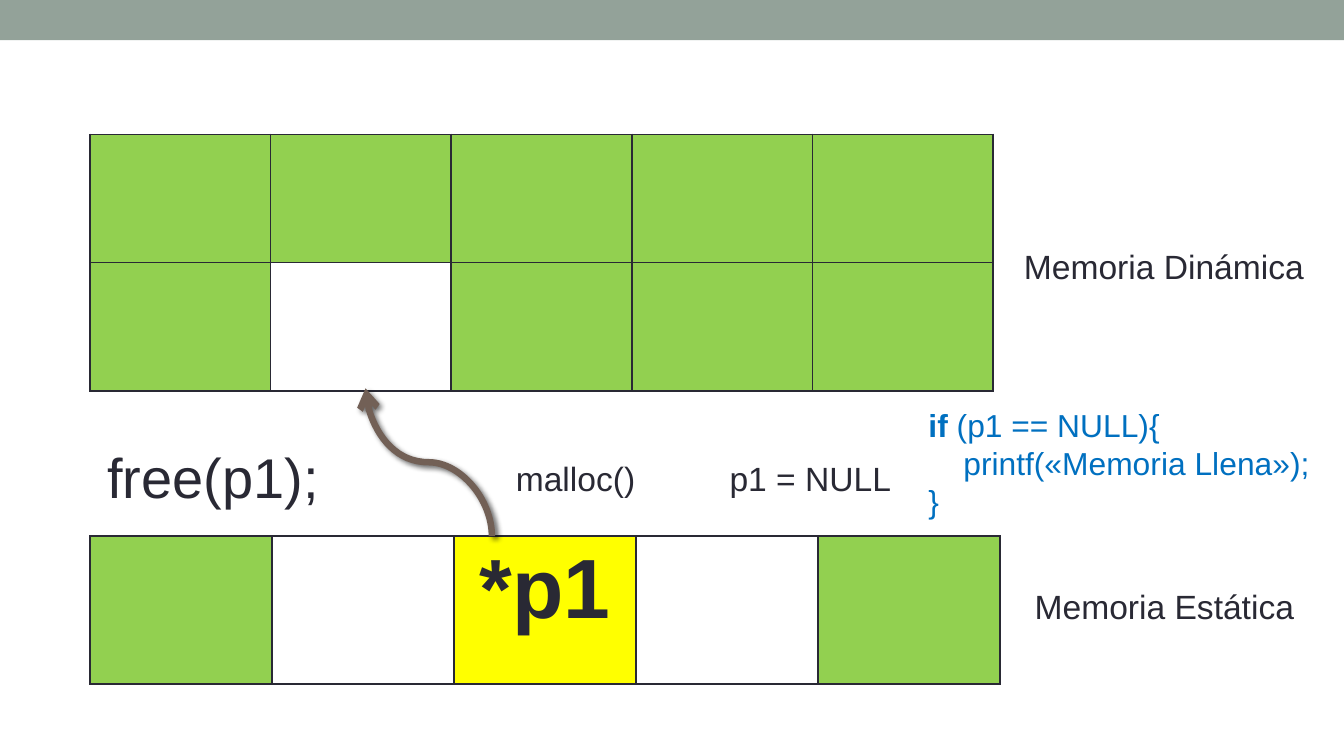
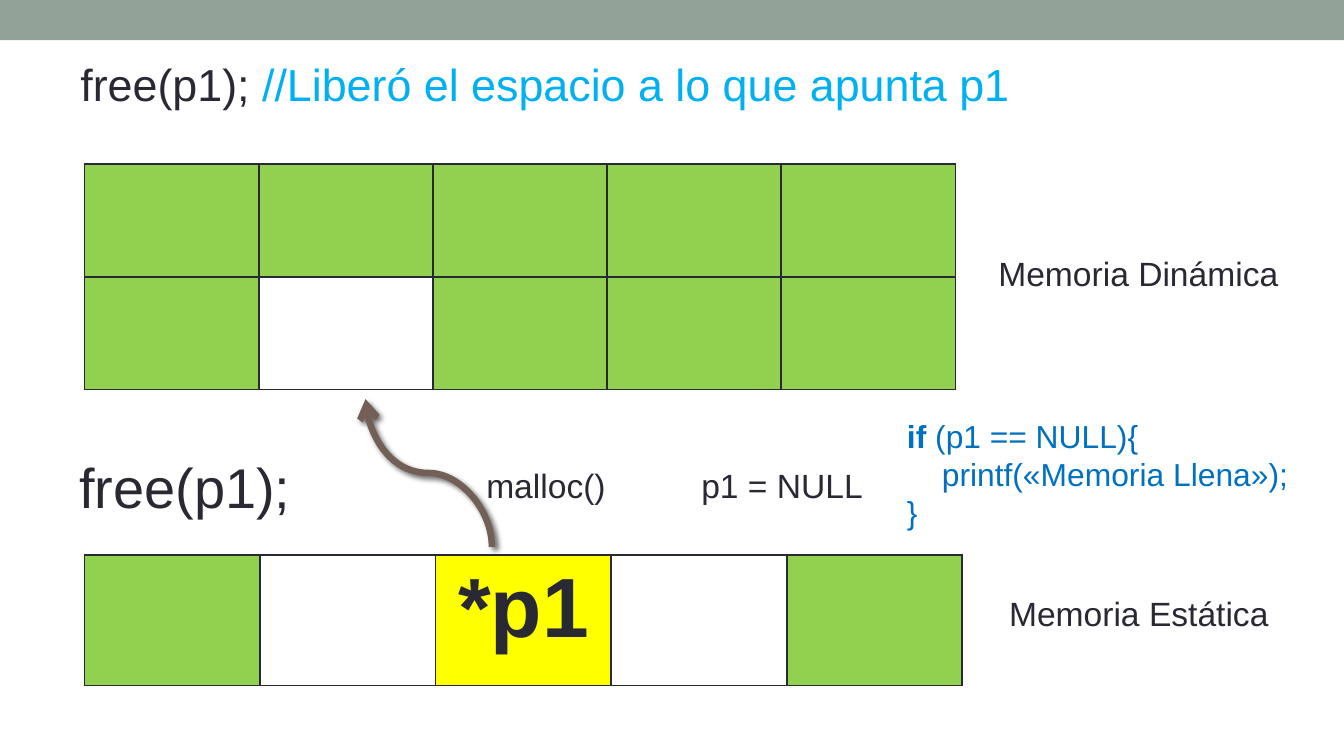
from lxml import etree
from pptx import Presentation
from pptx.dml.color import RGBColor
from pptx.enum.shapes import MSO_CONNECTOR, MSO_SHAPE
from pptx.enum.text import MSO_ANCHOR, PP_ALIGN
from pptx.oxml import parse_xml
from pptx.util import Inches, Pt

CURVE, RECTANGLE = MSO_CONNECTOR.CURVE, MSO_SHAPE.RECTANGLE
MIDDLE, TOP, CENTER = MSO_ANCHOR.MIDDLE, MSO_ANCHOR.TOP, PP_ALIGN.CENTER
NAMESPACE = "http://schemas.openxmlformats.org/drawingml/2006/main"
FONT = "Arial"
INK, BAND, ARROW = "292934", "93A299", "726056"
GREEN, WHITE, YELLOW = "92D050", "FFFFFF", "FFFF00"
CODE_BLUE, COMMENT_BLUE = "0070C0", "00B0F0"
FILLS = {"used": GREEN, "free": WHITE, "pointer": YELLOW}
BORDER = (
    '<a:{side} xmlns:a="{namespace}" w="12700"><a:solidFill><a:srgbClr val="{color}"/>'
    "</a:solidFill></a:{side}>"
)
SHADOW = (
    f'<a:effectLst xmlns:a="{NAMESPACE}"><a:outerShdw blurRad="38100" dist="25400" '
    'dir="2700000" rotWithShape="0"><a:srgbClr val="000000"><a:alpha val="60000"/>'
    "</a:srgbClr></a:outerShdw></a:effectLst>"
)


def rgb(value):
    """Turn a hex string into a colour."""
    return RGBColor.from_string(value)


def write(text_frame, lines):
    """Fill a text frame; each line is an indent in inches and its runs."""
    for number, (indent, runs) in enumerate(lines):
        paragraph = text_frame.paragraphs[0] if number == 0 else text_frame.add_paragraph()
        if indent:
            properties = paragraph._p.get_or_add_pPr()
            properties.set("marL", str(Inches(indent)))
            properties.set("indent", "0")
        for text, size, color, bold in runs:
            run = paragraph.add_run()
            run.text = text
            for name, value in {"name": FONT, "size": Pt(size), "bold": bold}.items():
                setattr(run.font, name, value)
            run.font.color.rgb = rgb(color)


DYNAMIC_CELLS = [["used"] * 5, ["used", "free", "used", "used", "used"]]
STATIC_CELLS = [["used", "free", "pointer", "free", "used"]]

# The texts that the slides share, and the title of the second
LABELS = {
    "dynamic": [(0, [("Memoria Dinámica", 18, INK, False)])],
    "static": [(0, [("Memoria Estática", 18, INK, False)])],
    "malloc": [(0, [("malloc()", 18, INK, False)])],
    "null": [(0.21, [("p1 = NULL", 18, INK, False)])],
    "check": [
        (0, [("if", 17, CODE_BLUE, True), (" (p1 == NULL){", 17, CODE_BLUE, False)]),
        (0.26, [("printf(«Memoria Llena»);", 17, CODE_BLUE, False)]),
        (0, [("}", 17, CODE_BLUE, False)]),
    ],
    "free": [(0, [("free(p1);", 30, INK, False)])],
    "title": [(0, [
        ("free(p1); ", 24, INK, False),
        ("//Liberó el espacio a lo que apunta p1", 24, COMMENT_BLUE, False),
    ])],
}

# Boxes are left, top, width, height in inches
SLIDES = [
    {
        "tables": [((0.67, 1, 6.72, 1.91), DYNAMIC_CELLS),
                   ((0.67, 3.99, 6.77, 1.1), STATIC_CELLS)],
        "labels": {
            "dynamic": (7.52, 1.78, 2.48, 0.4),
            "static": (7.6, 4.31, 2.48, 0.4),
            "malloc": (3.74, 3.36, 1.57, 0.4),
            "null": (5.12, 3.36, 1.93, 0.4),
            "check": (6.81, 2.97, 3.19, 0.96),
            "free": (0.7, 3.24, 1.81, 0.61),
        },
        "arrow_top": 2.97,
    },
    {
        "tables": [((0.63, 1.22, 6.48, 1.68), DYNAMIC_CELLS),
                   ((0.63, 4.13, 6.53, 0.97), STATIC_CELLS)],
        "labels": {
            "title": (0.5, 0.35, 9, 0.55),
            "dynamic": (7.33, 1.83, 2.39, 0.4),
            "static": (7.41, 4.36, 2.39, 0.4),
            "malloc": (3.52, 3.41, 1.52, 0.4),
            "null": (4.91, 3.41, 1.86, 0.4),
            "check": (6.65, 3.05, 3.35, 0.96),
            "free": (0.49, 3.32, 2.07, 0.61),
        },
        "arrow_top": 3.05,
    },
]

# A 16:9 slide, ten inches wide
presentation = Presentation()
presentation.slide_width = Inches(10)
presentation.slide_height = Inches(10) * 9 // 16
blank_layout = presentation.slide_layouts[6]

for content in SLIDES:
    slide = presentation.slides.add_slide(blank_layout)

    # The top band is made once and moved to the slide master
    if content is SLIDES[0]:
        band = slide.shapes.add_shape(RECTANGLE, 0, 0, Inches(10), Inches(0.3))
        band.shadow.inherit = False
        band.fill.solid()
        band.fill.fore_color.rgb = rgb(BAND)
        band.line.fill.background()
        band._element.nvSpPr.cNvPr.set("id", "100")
        presentation.slide_master.shapes._spTree.insert(2, band._element)

    # Memory tables
    for box, rows in content["tables"]:
        left, top, width, height = map(Inches, box)
        table = slide.shapes.add_table(len(rows), 5, left, top, width, height).table
        table.first_row = table.horz_banding = False
        for row_number, row in enumerate(rows):
            for column_number, state in enumerate(row):
                cell = table.cell(row_number, column_number)
                cell_properties = cell._tc.get_or_add_tcPr()
                for side in ("lnL", "lnR", "lnT", "lnB"):
                    cell_properties.append(parse_xml(
                        BORDER.format(side=side, namespace=NAMESPACE, color=INK)))
                cell.fill.solid()
                cell.fill.fore_color.rgb = rgb(FILLS[state])
                if state == "pointer":
                    write(cell.text_frame, [(0, [("*p1", 45, INK, True)])])
                    cell.text_frame.paragraphs[0].alignment = CENTER

    # Labels and code
    for name, box in content["labels"].items():
        text_frame = slide.shapes.add_textbox(*map(Inches, box)).text_frame
        text_frame.word_wrap = True
        text_frame.vertical_anchor = MIDDLE if name == "title" else TOP
        write(text_frame, LABELS[name])

    # Pointer arrow: a curve from lower left to upper right, turned by 270 degrees
    arrow_top = content["arrow_top"]
    arrow = slide.shapes.add_connector(
        CURVE, Inches(2.64), Inches(arrow_top + 0.94), Inches(3.74), Inches(arrow_top))
    arrow.line.width = Pt(3.5)
    arrow.line.color.rgb = rgb(ARROW)
    arrow_properties = arrow._element.spPr
    arrow_properties.find(f"{{{NAMESPACE}}}xfrm").set("rot", str(270 * 60000))
    line = arrow_properties.find(f"{{{NAMESPACE}}}ln")
    etree.SubElement(line, f"{{{NAMESPACE}}}tailEnd", type="arrow")
    arrow_properties.append(parse_xml(SHADOW))

presentation.save("out.pptx")
